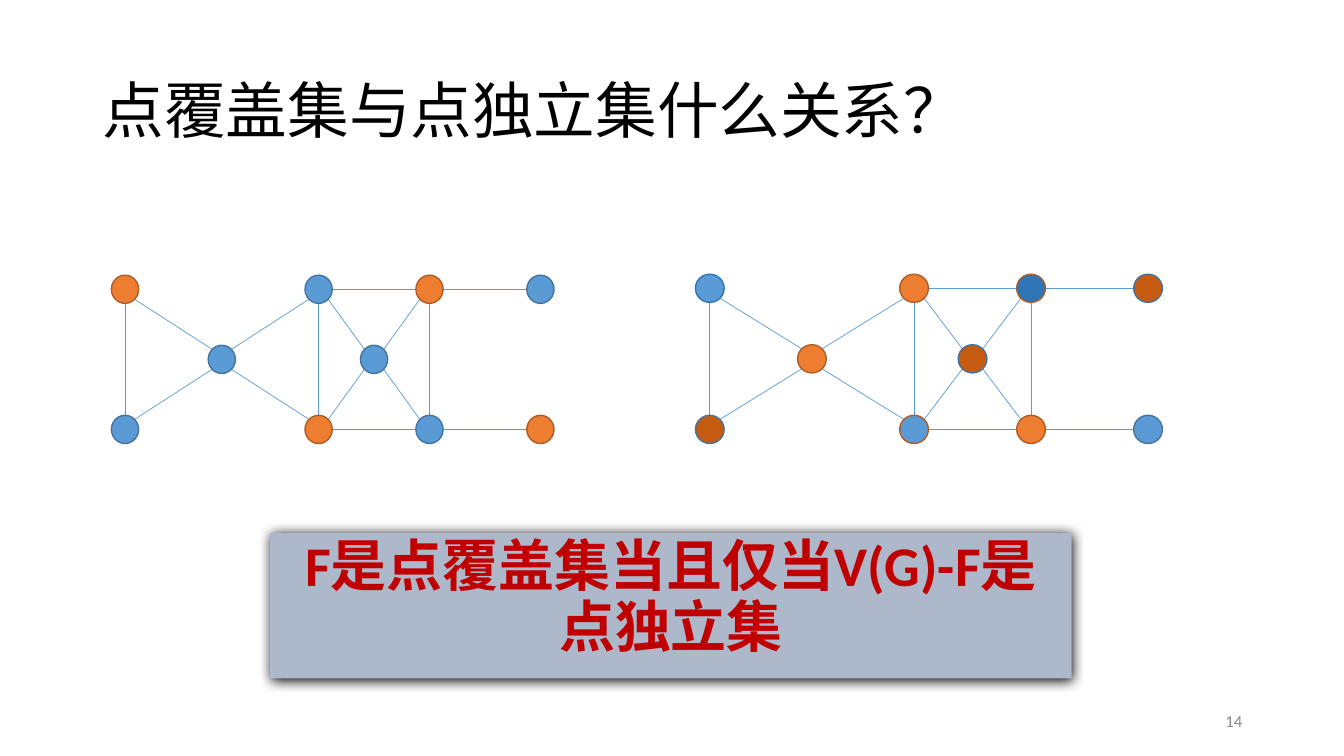
from dataclasses import dataclass
from math import sqrt

from lxml.etree import SubElement
from pptx import Presentation
from pptx.dml.color import RGBColor
from pptx.enum.shapes import MSO_CONNECTOR, MSO_SHAPE
from pptx.enum.text import MSO_ANCHOR, PP_ALIGN
from pptx.oxml import parse_xml
from pptx.oxml.ns import nsdecls, qn
from pptx.util import Inches, Pt


@dataclass(frozen=True)
class Theme:
    """Colours, font and type sizes of the slide."""
    font: str = "Calibri"
    black: str = "000000"
    grey: str = "898989"
    red: str = "C00000"
    panel: str = "ADB9CA"
    blue: str = "5B9BD5"
    deep_blue: str = "2E75B6"
    blue_edge: str = "43739E"
    orange: str = "ED7D31"
    deep_orange: str = "C55A11"
    orange_edge: str = "AF5C24"
    title: int = 44
    theorem: int = 40
    number: int = 12


T = Theme()


@dataclass(frozen=True)
class Node:
    """Fill and outline colour of a vertex."""
    fill: str
    line: str


@dataclass(frozen=True)
class Graph:
    """Placement of a graph and the style of each vertex."""
    left: float
    top: float
    scale: float
    nodes: dict[str, Node]


BLUE = Node(T.blue, T.blue_edge)
ORANGE = Node(T.orange, T.orange_edge)
DARK = Node(T.deep_orange, T.blue_edge)

BOTTOM, NODE_W, NODE_H = 4.26, 0.27, 0.28
COLUMNS = {"a": 0, "b": 0, "c": 0.96, "d": 1.92, "e": 1.92, "f": 2.47,
           "g": 3.02, "h": 3.02, "i": 4.12, "j": 4.12}
ROWS = {"a": 0, "b": 1, "c": 0.5, "d": 0, "e": 1, "f": 0.5,
        "g": 0, "h": 1, "i": 0, "j": 1}
EDGES = "ab ac bc cd ce de dg eh gh df fh fg ef gi hj".split()

GRAPHS = [
    Graph(1.24, 2.87, 1, dict(
        a=ORANGE, b=BLUE, c=BLUE, d=BLUE, e=ORANGE,
        f=BLUE, g=ORANGE, h=BLUE, i=BLUE, j=ORANGE)),
    Graph(7.04, 2.86, 1.055, dict(
        a=Node(T.blue, T.deep_blue), b=DARK, c=ORANGE, d=ORANGE,
        e=Node(T.blue, T.orange_edge), f=DARK,
        g=Node(T.deep_blue, T.orange_edge), h=ORANGE, i=DARK, j=BLUE)),
]


def sign(v: float) -> int:
    """Return the direction of a difference."""
    return (v > 0.01) - (v < -0.01)


def write(sp, text: str, size: int, color: str, bold: bool = False,
          align=PP_ALIGN.LEFT, anchor=MSO_ANCHOR.MIDDLE, spacing: float = 1) -> None:
    """Put one styled paragraph into a shape."""
    tf = sp.text_frame
    tf.word_wrap = True
    tf.vertical_anchor = anchor
    p = tf.paragraphs[0]
    p.text = text
    p.alignment = align
    p.line_spacing = spacing
    p.font.name = T.font
    p.font.size = Pt(size)
    p.font.bold = bold
    p.font.color.rgb = RGBColor.from_string(color)


def add_theorem(s, text: str) -> None:
    """Draw the shadowed panel that states the theorem."""
    sp = s.shapes.add_shape(MSO_SHAPE.RECTANGLE, Inches(2.68), Inches(5.29),
                            Inches(7.95), Inches(1.44))
    sp.fill.solid()
    sp.fill.fore_color.rgb = RGBColor.from_string(T.panel)
    sp.line.fill.background()
    sp._element.spPr.append(parse_xml(
        f'<a:effectLst {nsdecls("a")}><a:outerShdw blurRad="{Pt(8.5)}" '
        f'dist="{Pt(1)}" dir="5400000" algn="ctr" rotWithShape="0">'
        f'<a:srgbClr val="{T.black}"/></a:outerShdw></a:effectLst>'))
    write(sp, text, T.theorem, T.red, True, PP_ALIGN.CENTER, MSO_ANCHOR.TOP, 0.9)


def add_node(group, x: float, y: float, width: float, node: Node) -> None:
    """Draw a vertex centred on a point."""
    sp = group.shapes.add_shape(MSO_SHAPE.OVAL, Inches(x - width / 2),
                                Inches(y - NODE_H / 2), Inches(width), Inches(NODE_H))
    sp.shadow.inherit = False
    sp.fill.solid()
    sp.fill.fore_color.rgb = RGBColor.from_string(node.fill)
    sp.line.color.rgb = RGBColor.from_string(node.line)
    sp.line.width = Pt(1)


def add_edge(group, start: tuple, end: tuple, width: float) -> None:
    """Join the facing rims of two vertices."""
    (x1, y1), (x2, y2) = start, end
    dx, dy = sign(x2 - x1), sign(y2 - y1)
    reach = 1 / sqrt(2) if dx and dy else 1
    rx, ry = dx * reach * width / 2, dy * reach * NODE_H / 2
    ln = group.shapes.add_connector(MSO_CONNECTOR.STRAIGHT, Inches(x1 + rx), Inches(y1 + ry),
                                    Inches(x2 - rx), Inches(y2 - ry))
    ln.line.color.rgb = RGBColor.from_string(T.blue)
    ln.line.width = Pt(0.5)
    SubElement(ln._element.spPr, qn("a:effectLst"))


def add_graph(s, graph: Graph) -> None:
    """Draw one grouped graph."""
    group = s.shapes.add_group_shape()
    width = NODE_W * graph.scale
    at = {k: (graph.left + COLUMNS[k] * graph.scale,
              graph.top + ROWS[k] * (BOTTOM - graph.top)) for k in graph.nodes}
    for a, b in EDGES:
        add_edge(group, at[a], at[b], width)
    for k, node in graph.nodes.items():
        add_node(group, *at[k], width, node)


def main() -> None:
    """Build and save the slide."""
    prs = Presentation()
    prs.slide_width, prs.slide_height = Inches(13.33), Inches(7.5)
    s = prs.slides.add_slide(prs.slide_layouts[6])
    title = s.shapes.add_textbox(Inches(0.92), Inches(0.4), Inches(11.5), Inches(1.45))
    write(title, "点覆盖集与点独立集什么关系？", T.title, T.black, spacing=0.9)
    add_theorem(s, "F是点覆盖集当且仅当V(G)-F是点独立集")
    number = s.shapes.add_textbox(Inches(9.42), Inches(6.95), Inches(3), Inches(0.4))
    write(number, "14", T.number, T.grey, align=PP_ALIGN.RIGHT)
    for graph in GRAPHS:
        add_graph(s, graph)
    prs.save("out.pptx")


if __name__ == "__main__":
    main()
